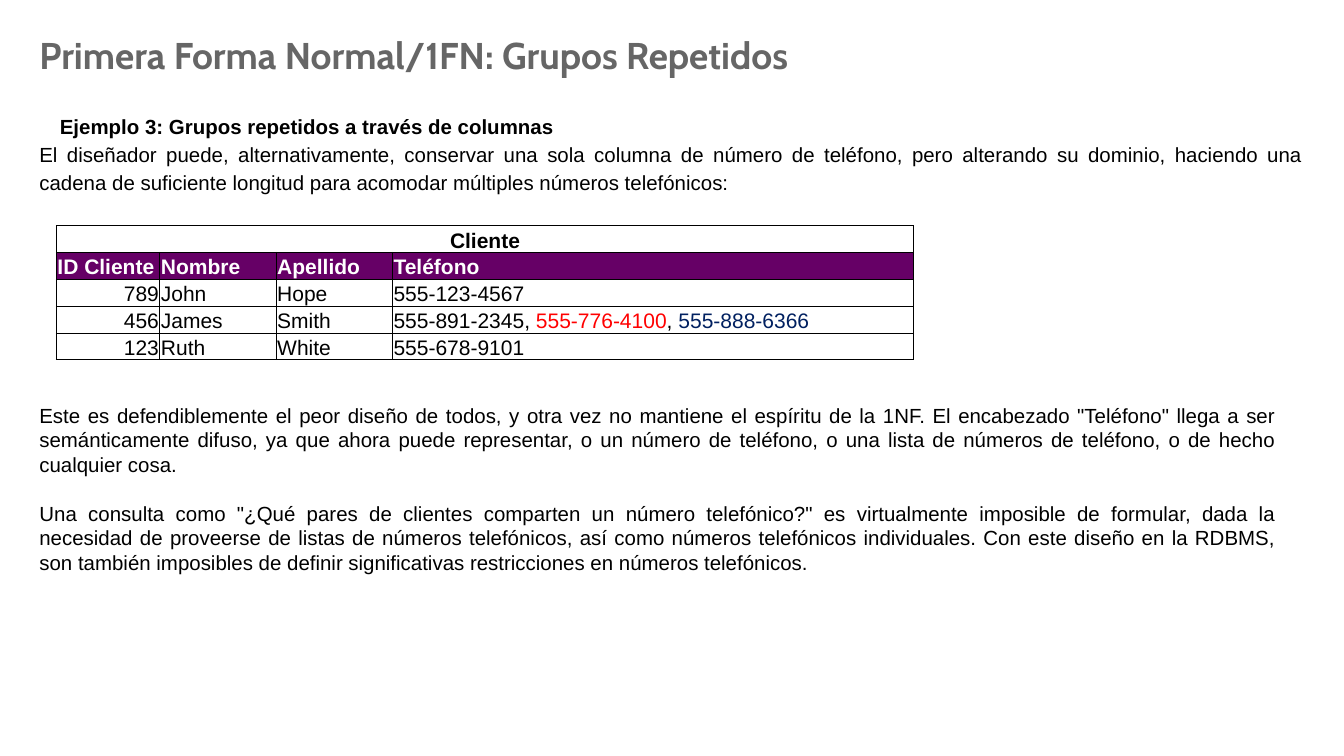
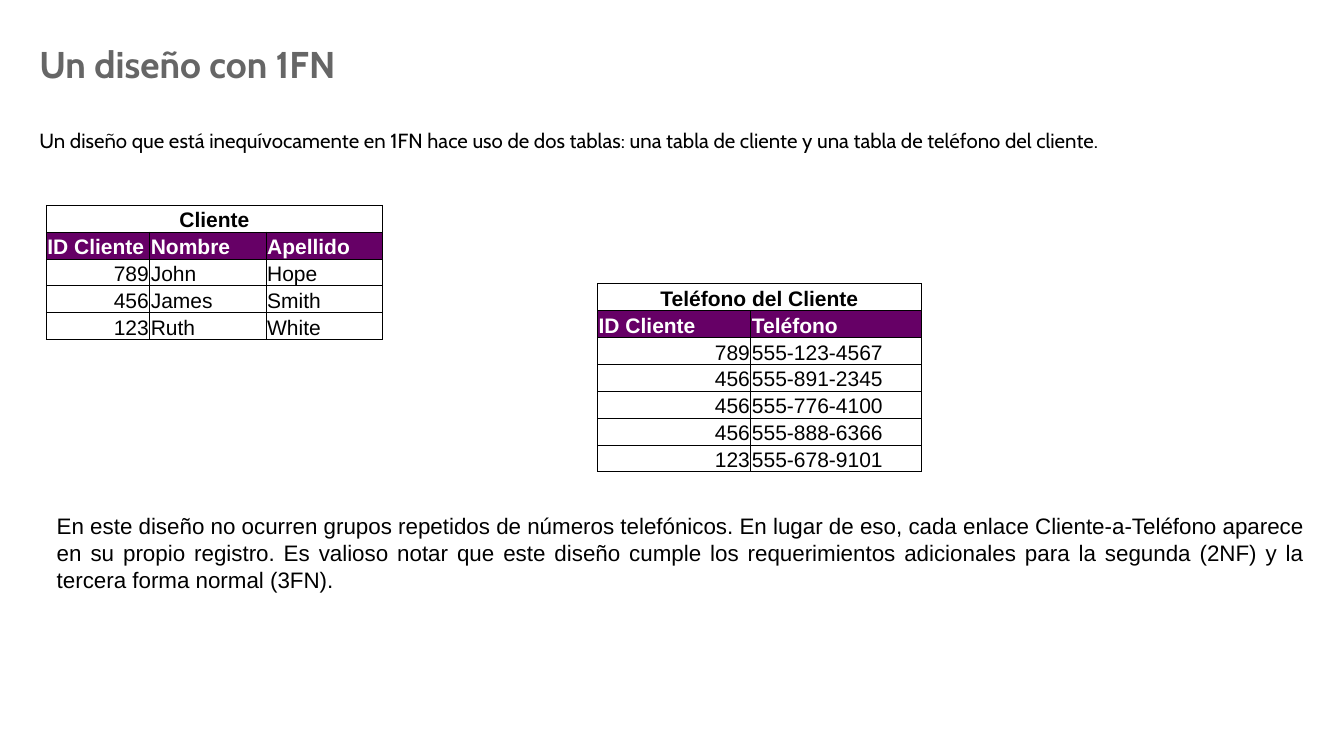
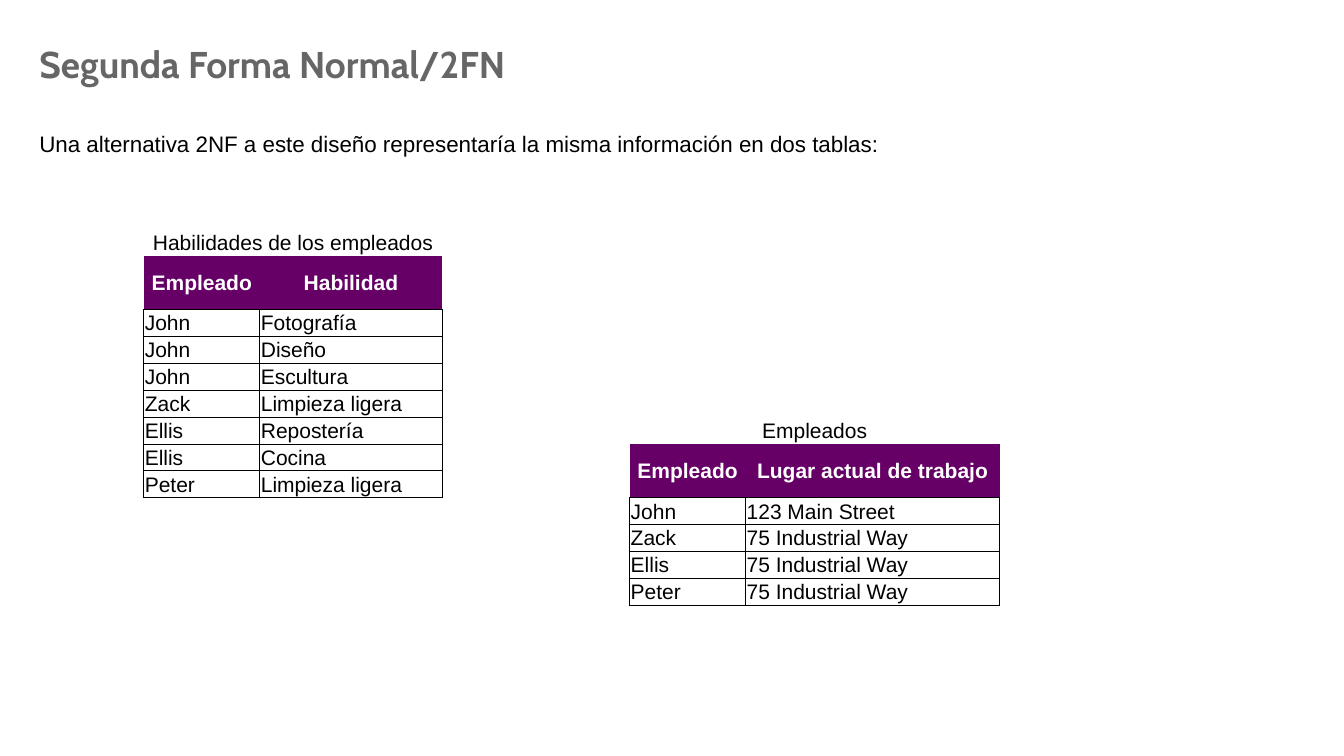
from dataclasses import dataclass
from typing import Optional, Union

from lxml.etree import SubElement
from pptx import Presentation
from pptx.dml.color import RGBColor
from pptx.enum.shapes import MSO_SHAPE as Preset
from pptx.enum.text import MSO_ANCHOR as Anchor, MSO_AUTO_SIZE as AutoSize, PP_ALIGN as Align
from pptx.oxml.ns import qn
from pptx.util import Pt


@dataclass(frozen=True)
class Theme:
    title_font: str = "Cabin"
    text_font: str = "Arial"
    title_size: float = 26.6
    body_size: float = 14.6
    table_size: float = 15
    note_size: float = 16
    grey: str = "666666"
    black: str = "000000"
    white: str = "FFFFFF"
    purple: str = "660066"
    red: str = "FF0000"
    navy: str = "002060"
    left: float = 18.7
    row_height: float = 19.2
    border: float = 0.75


THEME = Theme()


@dataclass(frozen=True)
class Span:
    text: str
    color: str = THEME.black


@dataclass(frozen=True)
class Box:
    left: float
    top: float
    width: float
    height: float


@dataclass(frozen=True)
class Para:
    text: str
    size: float = THEME.body_size
    font: str = THEME.text_font
    bold: bool = False
    align: Align = Align.JUSTIFY
    indent: float = 0
    before: float = 0
    spacing: Optional[float] = None


Cell = Union[str, tuple[Span, ...]]


@dataclass(frozen=True)
class TableSpec:
    left: float
    top: float
    columns: tuple[float, ...]
    caption: str
    header: tuple[str, ...]
    rows: tuple[tuple[Cell, ...], ...]
    boxed: bool = True


def style_run(run, font: str, size: float, color: str, bold: bool = False) -> None:
    run.font.name = font
    run.font.size = Pt(size)
    run.font.bold = bold
    run.font.color.rgb = RGBColor.from_string(color)


def place(shape, box: Box) -> None:
    shape.left, shape.top = Pt(box.left), Pt(box.top)
    shape.width, shape.height = Pt(box.width), Pt(box.height)


def set_frame(frame, side: float, vertical: float, anchor: Anchor, auto_size: AutoSize) -> None:
    frame.word_wrap = True
    frame.auto_size = auto_size
    frame.vertical_anchor = anchor
    frame.margin_left = frame.margin_right = Pt(side)
    frame.margin_top = frame.margin_bottom = Pt(vertical)


def fill_paragraphs(frame, paras: list[Para]) -> None:
    for index, para in enumerate(paras):
        paragraph = frame.add_paragraph() if index else frame.paragraphs[0]
        paragraph.text = para.text
        properties = paragraph._p.get_or_add_pPr()
        properties.set("marL", str(Pt(para.indent)))
        properties.set("indent", "0")
        SubElement(properties, qn("a:buNone"))
        paragraph.alignment = para.align
        paragraph.space_before = Pt(para.before)
        if para.spacing:
            paragraph.line_spacing = para.spacing
        style_run(paragraph.runs[0], para.font, para.size, THEME.black, para.bold)


def add_title(slide, text: str, top: float = 24) -> None:
    title = slide.shapes.title
    place(title, Box(THEME.left, top, 922.3, 43))
    frame = title.text_frame
    frame.text = text
    set_frame(frame, 9.4, 9.4, Anchor.MIDDLE, AutoSize.NONE)
    frame.paragraphs[0].alignment = Align.LEFT
    style_run(frame.paragraphs[0].runs[0], THEME.title_font, THEME.title_size, THEME.grey, True)


def add_body(slide, top: float, paras: list[Para]) -> None:
    body = slide.placeholders[1]
    place(body, Box(THEME.left, top, 922.3, 68))
    set_frame(body.text_frame, 9.4, 9.4, Anchor.TOP, AutoSize.NONE)
    fill_paragraphs(body.text_frame, paras)


def add_note(slide, box: Box, paras: list[Para], fill: Optional[str] = None) -> None:
    area = Pt(box.left), Pt(box.top), Pt(box.width), Pt(box.height)
    if fill:
        note = slide.shapes.add_shape(Preset.RECTANGLE, *area)
        note.shadow.inherit = False
        note.fill.solid()
        note.fill.fore_color.rgb = RGBColor.from_string(fill)
        note.line.fill.background()
    else:
        note = slide.shapes.add_textbox(*area)
    set_frame(note.text_frame, 9.4, 4.8, Anchor.TOP, AutoSize.SHAPE_TO_FIT_TEXT)
    fill_paragraphs(note.text_frame, paras)


def set_borders(cell, sides: str) -> None:
    """Draw the borders named in sides (letters of LRTB) and clear the others."""
    properties = cell._tc.get_or_add_tcPr()
    for side in "LRTB":
        line = SubElement(properties, qn(f"a:ln{side}"), w=str(Pt(THEME.border)))
        if side in sides:
            solid = SubElement(line, qn("a:solidFill"))
            SubElement(solid, qn("a:srgbClr"), val=THEME.black)
        else:
            SubElement(line, qn("a:noFill"))


def fill_cell(cell, content: Cell, color: str, bold: bool, align: Align, anchor: Anchor,
              borders: str, fill: Optional[str]) -> None:
    cell.margin_left = cell.margin_right = cell.margin_top = Pt(0.75)
    cell.margin_bottom = Pt(0)
    cell.vertical_anchor = anchor
    set_borders(cell, borders)
    if fill:
        cell.fill.solid()
        cell.fill.fore_color.rgb = RGBColor.from_string(fill)
    else:
        cell.fill.background()
    paragraph = cell.text_frame.paragraphs[0]
    paragraph.alignment = align
    spans = (Span(content, color),) if isinstance(content, str) else content
    for span in spans:
        run = paragraph.add_run()
        run.text = span.text
        style_run(run, THEME.text_font, THEME.table_size, span.color, bold)


def add_data_table(slide, spec: TableSpec) -> None:
    heights = [THEME.row_height] * (len(spec.rows) + 2)
    if not spec.boxed:
        heights[1] *= 2
    frame = slide.shapes.add_table(len(heights), len(spec.columns), Pt(spec.left), Pt(spec.top),
                                   Pt(sum(spec.columns)), Pt(sum(heights)))
    table = frame.table
    table.first_row = table.horz_banding = False
    for column, width in zip(table.columns, spec.columns):
        column.width = Pt(width)
    for row, height in zip(table.rows, heights):
        row.height = Pt(height)

    anchor = Anchor.BOTTOM if spec.boxed else Anchor.MIDDLE
    last = len(spec.columns) - 1
    table.cell(0, 0).merge(table.cell(0, last))
    for index, heading in enumerate(spec.header):
        fill_cell(table.cell(0, index), () if index else spec.caption, THEME.black, spec.boxed,
                  Align.CENTER, anchor, "LRTB" if spec.boxed else "",
                  THEME.white if spec.boxed else None)
        fill_cell(table.cell(1, index), heading, THEME.white, True,
                  Align.LEFT if spec.boxed else Align.CENTER, anchor,
                  "LRTB" if spec.boxed else "B", THEME.purple)
    for row_index, row in enumerate(spec.rows, start=2):
        for index, content in enumerate(row):
            numeric = isinstance(content, str) and content.isdigit()
            fill_cell(table.cell(row_index, index), content, THEME.black, False,
                      Align.RIGHT if numeric else Align.LEFT, anchor, "LRTB", None)


CUSTOMERS = (("789", "John", "Hope"), ("456", "James", "Smith"), ("123", "Ruth", "White"))
CUSTOMER_HEADER = ("ID Cliente", "Nombre", "Apellido")
CUSTOMER_COLUMNS = (73.9, 83.1, 83.1)
PHONES = (
    "555-123-4567",
    (Span("555-891-2345, "), Span("555-776-4100", THEME.red), Span(", "),
     Span("555-888-6366", THEME.navy)),
    "555-678-9101",
)


def build_repeated_groups(deck) -> None:
    slide = deck.slides.add_slide(deck.slide_layouts[1])
    add_title(slide, "Primera Forma Normal/1FN: Grupos Repetidos", top=17.5)
    add_body(slide, 69.3, [
        Para("Ejemplo 3: Grupos repetidos a través de columnas", bold=True, align=Align.LEFT,
             indent=14.6, spacing=1.15),
        Para("El diseñador puede, alternativamente, conservar una sola columna de número de "
             "teléfono, pero alterando su dominio, haciendo una cadena de suficiente longitud "
             "para acomodar múltiples números telefónicos:", spacing=1.15),
    ])
    add_note(slide, Box(THEME.left, 283, 903.2, 134), [
        Para("Este es defendiblemente el peor diseño de todos, y otra vez no mantiene el espíritu "
             "de la 1NF. El encabezado \"Teléfono\" llega a ser semánticamente difuso, ya que "
             "ahora puede representar, o un número de teléfono, o una lista de números de "
             "teléfono, o de hecho cualquier cosa."),
        Para("Una consulta como \"¿Qué pares de clientes comparten un número telefónico?\" es "
             "virtualmente imposible de formular, dada la necesidad de proveerse de listas de "
             "números telefónicos, así como números telefónicos individuales. Con este diseño en "
             "la RDBMS, son también imposibles de definir significativas restricciones en "
             "números telefónicos.", before=17.5),
    ], fill=THEME.white)
    add_data_table(slide, TableSpec(
        40.3, 161.1, CUSTOMER_COLUMNS + (372.2,), "Cliente", CUSTOMER_HEADER + ("Teléfono",),
        tuple(customer + (phone,) for customer, phone in zip(CUSTOMERS, PHONES))))


def build_first_form(deck) -> None:
    slide = deck.slides.add_slide(deck.slide_layouts[1])
    add_title(slide, "Un diseño con 1FN")
    add_body(slide, 79.2, [
        Para("Un diseño que está inequívocamente en 1FN hace uso de dos tablas: una tabla de "
             "cliente y una tabla de teléfono del cliente.", font=THEME.title_font, spacing=1.15),
    ])
    add_note(slide, Box(31.1, 361.1, 910, 87), [
        Para("En este diseño no ocurren grupos repetidos de números telefónicos. En lugar de eso, "
             "cada enlace Cliente-a-Teléfono aparece en su propio registro. Es valioso notar que "
             "este diseño cumple los requerimientos adicionales para la segunda (2NF) y la "
             "tercera forma normal (3FN).", size=THEME.note_size),
    ])
    add_data_table(slide, TableSpec(
        33.1, 146.6, CUSTOMER_COLUMNS, "Cliente", CUSTOMER_HEADER, CUSTOMERS))
    add_data_table(slide, TableSpec(
        426.9, 202.7, (109.5, 121.6), "Teléfono del Cliente", ("ID Cliente", "Teléfono"),
        (("789", "555-123-4567"), ("456", "555-891-2345"), ("456", "555-776-4100"),
         ("456", "555-888-6366"), ("123", "555-678-9101"))))


def build_second_form(deck) -> None:
    slide = deck.slides.add_slide(deck.slide_layouts[5])
    add_title(slide, "Segunda Forma Normal/2FN")
    add_note(slide, Box(THEME.left, 88, 636.5, 29), [
        Para("Una alternativa 2NF a este diseño representaría la misma información en dos tablas:",
             size=THEME.note_size),
    ])
    add_data_table(slide, TableSpec(
        102.7, 163.6, (82.9, 130.2), "Habilidades de los empleados", ("Empleado", "Habilidad"),
        (("John", "Fotografía"), ("John", "Diseño"), ("John", "Escultura"),
         ("Zack", "Limpieza ligera"), ("Ellis", "Repostería"), ("Ellis", "Cocina"),
         ("Peter", "Limpieza ligera")), boxed=False))
    add_data_table(slide, TableSpec(
        449.8, 298, (82.8, 181.4), "Empleados", ("Empleado", "Lugar actual de trabajo"),
        (("John", "123 Main Street"), ("Zack", "75 Industrial Way"),
         ("Ellis", "75 Industrial Way"), ("Peter", "75 Industrial Way")), boxed=False))


def main() -> None:
    deck = Presentation()
    deck.slide_width, deck.slide_height = Pt(960), Pt(540)
    build_repeated_groups(deck)
    build_first_form(deck)
    build_second_form(deck)
    deck.save("out.pptx")


if __name__ == "__main__":
    main()
